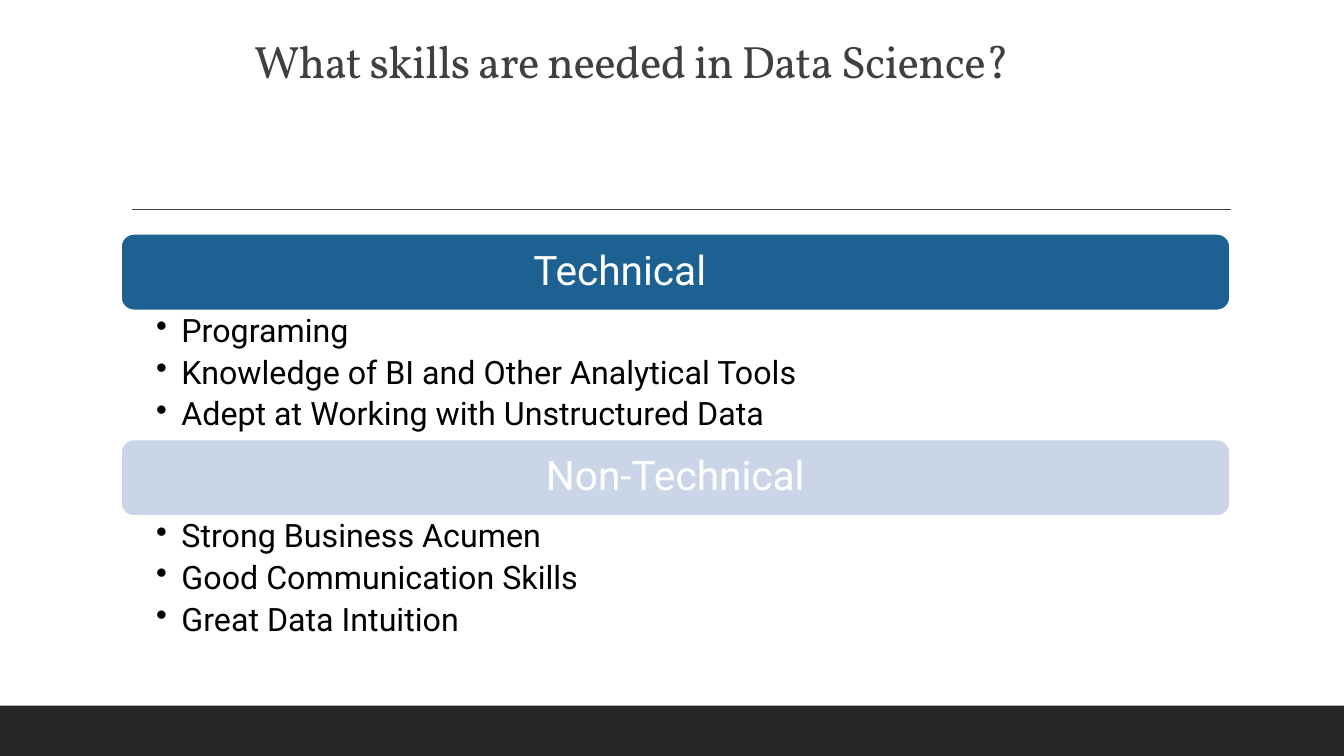
from dataclasses import dataclass
from lxml import etree
from pptx import Presentation, util as u
from pptx.dml.color import RGBColor
from pptx.enum import shapes, text
from pptx.oxml.ns import qn

TITLE = "What skills are needed in Data Science?"
GROUPS = [
    ("Technical\t", "1C6192", [
        "Programing",
        "Knowledge of BI and Other Analytical Tools",
        "Adept at Working with Unstructured Data",
    ]),
    ("Non-Technical", "CAD6E8", [
        "Strong Business Acumen",
        "Good Communication Skills",
        "Great Data Intuition",
    ]),
]


@dataclass(frozen=True)
class Theme:
    head: str = "Vollkorn"
    body: str = "Roboto"
    dark: str = "262626"
    grey: str = "404040"
    ink: str = "000000"
    white: str = "FFFFFF"
    title: float = 32.4
    bar: float = 29
    item: float = 23


T = Theme()
WIDE, HIGH = 13.33, 7.5
LEFT, TOP, SPAN = 1.2, 2.32, 11
BAR, LIST = 0.76, 1.28
FOOT = HIGH / 15
TAB = 2.82


def box(*vals):
    return [u.Inches(v) for v in vals]


def tint(hue):
    return RGBColor.from_string(hue)


def style(para, name, size, hue, after=0):
    para.line_spacing = 0.9
    para.space_after = u.Pt(after)
    font = para.font
    font.name, font.size = name, u.Pt(size)
    font.color.rgb = tint(hue)


def inset(frame, left, top, right, low):
    frame.margin_left, frame.margin_top = box(left, top)
    frame.margin_right, frame.margin_bottom = box(right, low)
    frame.word_wrap = True


def block(slide, kind, area, fill, edge=None):
    shape = slide.shapes.add_shape(kind, *box(*area))
    shape.shadow.inherit = False
    shape.fill.solid()
    shape.fill.fore_color.rgb = tint(fill)
    if edge:
        shape.line.color.rgb = tint(edge)
        shape.line.width = u.Pt(1.25)
    else:
        shape.line.fill.background()
    return shape


def heading(slide):
    shape = slide.shapes.title
    shape.left, shape.top, shape.width, shape.height = box(2.42, 0.11, 8.48, 0.82)
    frame = shape.text_frame
    frame.text = TITLE
    frame.auto_size = text.MSO_AUTO_SIZE.NONE
    frame.vertical_anchor = text.MSO_ANCHOR.BOTTOM
    para = frame.paragraphs[0]
    para.alignment = text.PP_ALIGN.LEFT
    style(para, T.head, T.title, T.grey)
    para._p.pPr.find(qn("a:defRPr")).set("spc", "-50")


def rule(slide):
    line = slide.shapes.add_connector(
        shapes.MSO_CONNECTOR.STRAIGHT, *box(1.31, 2.08, 12.21, 2.08))
    line.line.color.rgb = tint(T.grey)
    line.line.width = u.Pt(1)
    etree.SubElement(line._element.spPr, qn("a:effectLst"))


def banner(slide, label, fill, top):
    shape = block(slide, shapes.MSO_SHAPE.ROUNDED_RECTANGLE,
                  (LEFT, top, SPAN, BAR), fill, T.white)
    frame = shape.text_frame
    inset(frame, 0.12, 0.12, 0.12, 0.12)
    frame.vertical_anchor = text.MSO_ANCHOR.MIDDLE
    para = frame.paragraphs[0]
    para.text = label
    para.alignment = text.PP_ALIGN.CENTER
    tabs = etree.SubElement(para._p.get_or_add_pPr(), qn("a:tabLst"))
    etree.SubElement(tabs, qn("a:tab"), pos=str(u.Inches(TAB)), algn="l")
    style(para, T.body, T.bar, T.white)


def bullets(slide, items, top):
    frame = slide.shapes.add_textbox(*box(LEFT, top, SPAN, LIST)).text_frame
    inset(frame, 0.35, 0.04, 0.23, 0.04)
    for i, item in enumerate(items):
        para = frame.add_paragraph() if i else frame.paragraphs[0]
        para.text = item
        props = para._p.get_or_add_pPr()
        props.set("marL", str(u.Inches(0.25)))
        props.set("indent", str(u.Inches(-0.25)))
        etree.SubElement(props, qn("a:buChar"), char="•")
        style(para, T.body, T.item, T.ink, 5)


def main():
    deck = Presentation()
    deck.slide_width, deck.slide_height = box(WIDE, HIGH)
    slide = deck.slides.add_slide(deck.slide_layouts[5])
    block(slide, shapes.MSO_SHAPE.RECTANGLE, (0, HIGH - FOOT, WIDE, FOOT), T.dark)
    rule(slide)
    heading(slide)
    for i, (label, fill, items) in enumerate(GROUPS):
        top = TOP + i * (BAR + LIST)
        banner(slide, label, fill, top)
        bullets(slide, items, top + BAR)
    deck.save("out.pptx")


if __name__ == "__main__":
    main()
